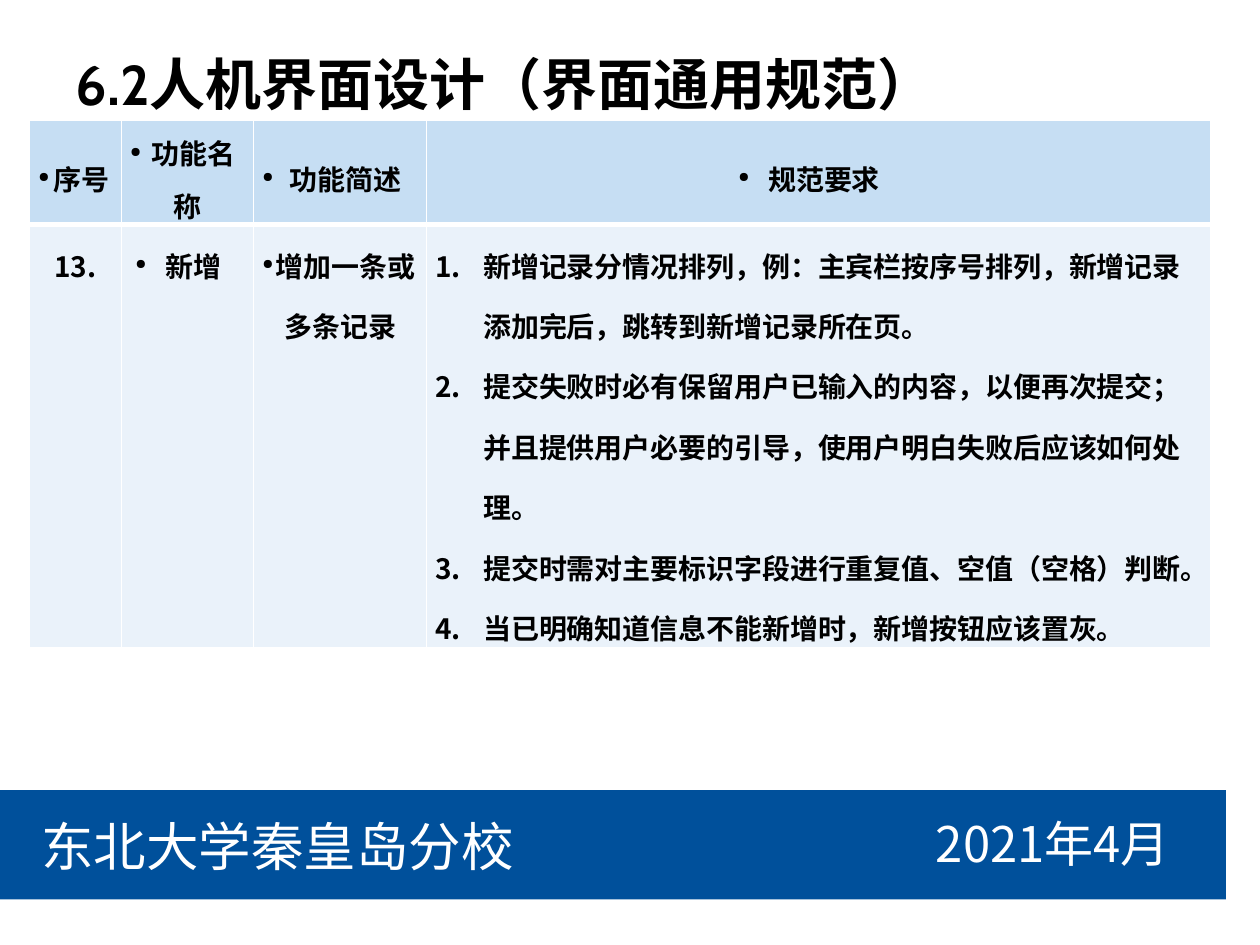
import pptx
import pptx.dml.color
import pptx.enum.shapes
import pptx.enum.text
import pptx.oxml
import pptx.oxml.ns
import pptx.util

Pt = pptx.util.Pt
Align = pptx.enum.text.PP_ALIGN
Anchor = pptx.enum.text.MSO_ANCHOR
NAMESPACE = pptx.oxml.ns.nsdecls("a")


def color(value):
    """Turn a hex string into a colour."""
    return pptx.dml.color.RGBColor.from_string(value)


def element(tag, attributes="", content=""):
    """Make one DrawingML element."""
    return pptx.oxml.parse_xml(f"<a:{tag} {NAMESPACE} {attributes}>{content}</a:{tag}>")


class SlideBuilder:
    """Hold the style and the current slide."""

    font = "Noto Sans CJK SC"
    title_font = "Cabin"
    white, black, blue = "FFFFFF", "000000", "00509B"
    header_fill, body_fill = "C6DEF3", "EAF2FA"

    def __init__(self, page):
        """Keep the page to draw on."""
        self.page = page

    def format(self, para, size, ink, bold=False, name=None):
        """Set the font of a whole paragraph."""
        font = para.font
        font.size, font.bold, font.name = Pt(size), bold, name or self.font
        font.color.rgb = color(ink)
        properties = para._p.pPr.find(pptx.oxml.ns.qn("a:defRPr"))
        properties.append(element("ea", f'typeface="{self.font}"'))

    def title(self, text, left, top, width, height):
        """Fill and place the title placeholder."""
        box = self.page.shapes.title
        box.left, box.top, box.width, box.height = map(Pt, (left, top, width, height))
        frame = box.text_frame
        frame.text = text
        frame.auto_size = pptx.enum.text.MSO_AUTO_SIZE.NONE
        frame.vertical_anchor = Anchor.MIDDLE
        para = frame.paragraphs[0]
        para.alignment = Align.LEFT
        self.format(para, 32, self.black, True, self.title_font)

    def bar(self, left, top, width, height):
        """Draw the footer bar."""
        shape = self.page.shapes.add_shape(
            pptx.enum.shapes.MSO_SHAPE.RECTANGLE, *map(Pt, (left, top, width, height)))
        shape.shadow.inherit = False
        shape.fill.solid()
        shape.fill.fore_color.rgb = color(self.blue)
        shape.line.fill.background()

    def label(self, text, left, top, width, height, size, align, wrap):
        """Write a footer label."""
        box = self.page.shapes.add_textbox(*map(Pt, (left, top, width, height)))
        frame = box.text_frame
        frame.word_wrap = wrap
        frame.text = text
        para = frame.paragraphs[0]
        para.alignment = align
        self.format(para, size, self.white)

    def table(self, rows, left, top, widths, heights):
        """Draw the table with a header row."""
        frame = self.page.shapes.add_table(
            len(rows), len(widths), *map(Pt, (left, top, sum(widths), sum(heights))))
        table = frame.table
        table.horz_banding = False
        for column, width in zip(table.columns, widths):
            column.width = Pt(width)
        for row, height in zip(table.rows, heights):
            row.height = Pt(height)
        for row_index, row in enumerate(rows):
            for column_index, (kind, lines) in enumerate(row):
                self.cell(table.cell(row_index, column_index), kind, lines, row_index == 0)

    def cell(self, cell, kind, lines, header):
        """Fill and border one table cell."""
        cell.margin_left = cell.margin_right = Pt(5)
        cell.margin_top = cell.margin_bottom = 0
        cell.vertical_anchor = Anchor.MIDDLE if header else Anchor.TOP
        line = f'<a:solidFill><a:srgbClr val="{self.white}"/></a:solidFill>'
        for side in "LRTB":
            width = Pt(3 if header and side == "B" else 1)
            cell._tc.get_or_add_tcPr().append(element(f"ln{side}", f'w="{width}"', line))
        cell.fill.solid()
        cell.fill.fore_color.rgb = color(self.header_fill if header else self.body_fill)
        cell.text_frame.text = "\n".join(lines)
        for para in cell.text_frame.paragraphs:
            para.alignment = Align.LEFT if kind == "number" else Align.CENTER
            para.line_spacing = 1.3 if header else 1.5
            self.marker(para, kind)
            self.format(para, 16, self.black, True)

    def marker(self, para, kind):
        """Add a bullet or a number to a paragraph."""
        properties = para._p.get_or_add_pPr()
        if kind == "bullet":
            properties.append(element("buSzPct", 'val="50000"'))
            properties.append(element("buChar", 'char="●"'))
        elif kind == "number":
            properties.set("marL", str(Pt(27.36)))
            properties.set("indent", str(Pt(-27.36)))
            properties.append(element("buAutoNum", 'type="arabicPeriod"'))
            tab = f'<a:tab pos="{Pt(22.32)}" algn="l"/>'
            properties.append(element("tabLst", content=tab))


def main():
    """Build the deck and save it."""
    deck = pptx.Presentation()
    deck.slide_width, deck.slide_height = Pt(720), Pt(540)
    builder = SlideBuilder(deck.slides.add_slide(deck.slide_layouts[5]))
    builder.bar(0, 451.5, 700.5, 62.5)
    builder.label("东北大学秦皇岛分校", 16.5, 461.5, 287.5, 44, 30, Align.LEFT, False)
    builder.label("2021年4月", 517.7, 461.5, 167.8, 37.5, 28, Align.CENTER, True)
    builder.title("6.2人机界面设计（界面通用规范）", 36, 21.6, 656, 52)
    requirements = [
        "新增记录分情况排列，例：主宾栏按序号排列，新增记录添加完后，跳转到新增记录所在页。",
        "提交失败时必有保留用户已输入的内容，以便再次提交；并且提供用户必要的引导，使用户明白失败后应该如何处理。",
        "提交时需对主要标识字段进行重复值、空值（空格）判断。",
        "当已明确知道信息不能新增时，新增按钮应该置灰。",
    ]
    header = [("bullet", [name]) for name in ("序号", "功能名称", "功能简述", "规范要求")]
    entry = [
        ("plain", ["13."]),
        ("bullet", ["新增"]),
        ("bullet", ["增加一条或多条记录"]),
        ("number", requirements),
    ]
    builder.table([header, entry], 16.9, 68.9, (52.5, 75.6, 98.9, 447.8), (59.4, 242))
    deck.save("out.pptx")


if __name__ == "__main__":
    main()
